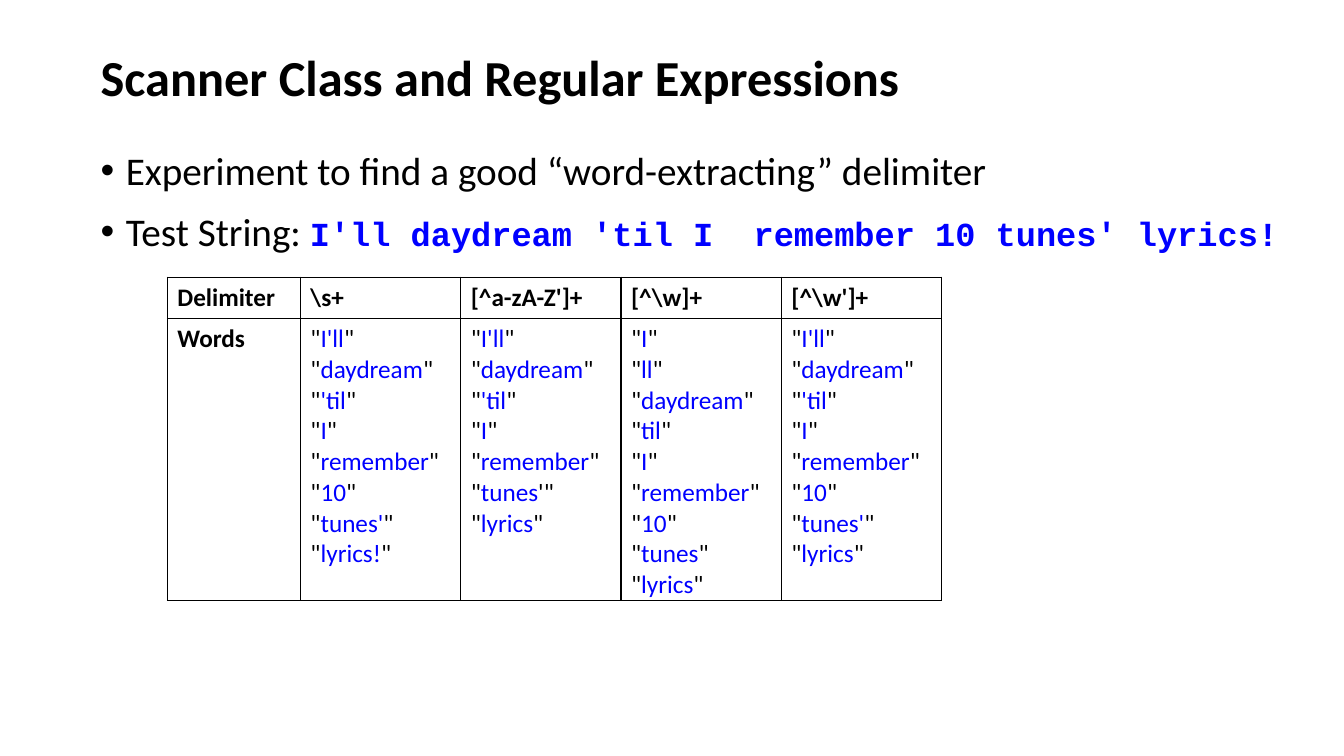
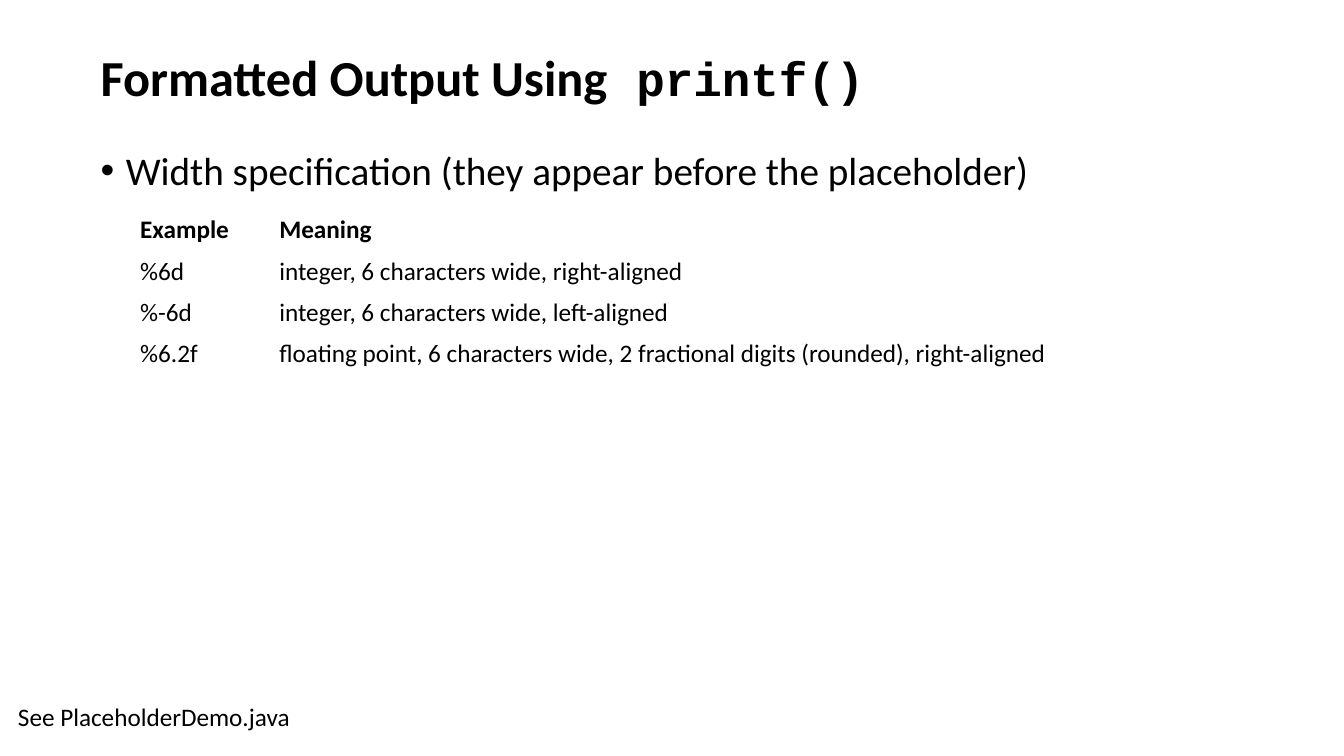
from dataclasses import dataclass
from lxml.etree import SubElement
from pptx import Presentation
from pptx.dml.color import RGBColor
from pptx.enum.text import MSO_ANCHOR, MSO_AUTO_SIZE
from pptx.oxml import parse_xml
from pptx.oxml.ns import nsdecls, qn
from pptx.util import Inches, Pt


@dataclass(frozen=True)
class Theme:
    black: RGBColor = RGBColor(0, 0, 0)
    blue: RGBColor = RGBColor(0, 0, 255)
    sans: str = "Calibri"
    mono: str = "Courier New"
    title: int = 36
    title_code: int = 34
    bullet: int = 28
    bullet_code: int = 24
    small: int = 18
    border: str = "000000"


theme = Theme()
code = dict(font=theme.mono, bold=True)


def write(para, text, size=theme.small, font=theme.sans, color=theme.black, bold=False):
    """Add one formatted span to a paragraph."""
    span = para.add_run()
    span.text = text
    span.font.size = Pt(size)
    span.font.name = font
    span.font.color.rgb = color
    span.font.bold = bold


def add_table(page, left, top, widths, heights):
    """Add a plain table without style bands or fills."""
    size = Inches(sum(widths)), Inches(sum(heights))
    table = page.shapes.add_table(len(heights), len(widths), Inches(left), Inches(top), *size).table
    table.first_row = table.horz_banding = False
    for column, width in zip(table.columns, widths):
        column.width = Inches(width)
    for row, height in zip(table.rows, heights):
        row.height = Inches(height)
    for cell in table.iter_cells():
        cell.fill.background()
    return table


# Content: each title and bullet is a list of (text, format) spans
bullet = dict(size=theme.bullet)
heading = dict(size=theme.title, bold=True)
contents = [
    ([("Scanner Class and Regular Expressions", heading)],
     [[("Experiment to find a good “word-extracting” delimiter", bullet)],
      [("Test String: ", bullet),
       ("I'll daydream 'til I  remember 10 tunes' lyrics!",
        dict(code, size=theme.bullet_code, color=theme.blue))]]),
    ([("Formatted Output Using", heading), (" printf()", dict(code, size=theme.title_code))],
     [[("Width specification (they appear before the placeholder)", bullet)]]),
]

deck = Presentation()
deck.slide_width, deck.slide_height = Inches(13.33), Inches(7.5)

# Titles and bullets
pages = []
for title, bullets in contents:
    page = deck.slides.add_slide(deck.slide_layouts[6])
    pages.append(page)

    box = page.shapes.add_textbox(Inches(0.9), Inches(0.4), Inches(11.5), Inches(0.8))
    box.text_frame.word_wrap = True
    box.text_frame.vertical_anchor = MSO_ANCHOR.MIDDLE
    para = box.text_frame.paragraphs[0]
    para.line_spacing = 0.9
    for text, style in title:
        write(para, text, **style)

    box = page.shapes.add_textbox(Inches(0.9), Inches(1.4), Inches(12.4), Inches(5.2))
    box.text_frame.word_wrap = True
    for index, spans in enumerate(bullets):
        para = box.text_frame.add_paragraph() if index else box.text_frame.paragraphs[0]
        para.space_before = Pt(10)
        properties = para._p.get_or_add_pPr()
        properties.set("marL", str(Inches(0.25)))
        properties.set("indent", str(Inches(-0.25)))
        SubElement(properties, qn("a:buFont"), typeface="Arial")
        SubElement(properties, qn("a:buChar"), char="•")
        for text, style in spans:
            write(para, text, **style)

scanner_page, printf_page = pages

# Delimiter table; a bar marks where the blue part of a word ends
words_by_delimiter = {
    r"\s+": "I'll daydream 'til I remember 10 tunes' lyrics!",
    "[^a-zA-Z']+": "I'll daydream 'til I remember tunes|' lyrics",
    r"[^\w]+": "I ll daydream til I remember 10 tunes lyrics",
    r"[^\w']+": "I'll daydream 'til I remember 10 tunes' lyrics",
}
table = add_table(scanner_page, 1.66, 2.75, [1.32] + [1.59] * 4, [0.41, 2.8])
for row, label in enumerate(["Delimiter", "Words"]):
    write(table.cell(row, 0).text_frame.paragraphs[0], label, bold=True)
for column, (delimiter, words) in enumerate(words_by_delimiter.items(), start=1):
    write(table.cell(0, column).text_frame.paragraphs[0], delimiter, bold=True)
    frame = table.cell(1, column).text_frame
    for index, entry in enumerate(words.split()):
        para = frame.add_paragraph() if index else frame.paragraphs[0]
        word, _, tail = entry.partition("|")
        write(para, '"')
        write(para, word, color=theme.blue)
        write(para, tail + '"')

# Cell borders
for cell in table.iter_cells():
    properties = cell._tc.get_or_add_tcPr()
    for position, side in enumerate("LRTB"):
        properties.insert(position, parse_xml(
            f'<a:ln{side} {nsdecls("a")} w="{Pt(1)}"><a:solidFill>'
            f'<a:srgbClr val="{theme.border}"/></a:solidFill></a:ln{side}>'))

# Width specification table
examples = [
    ("Example", "Meaning"),
    ("%6d", "integer, 6 characters wide, right-aligned"),
    ("%-6d", "integer, 6 characters wide, left-aligned"),
    ("%6.2f", "floating point, 6 characters wide, 2 fractional digits (rounded), right-aligned"),
]
table = add_table(printf_page, 1.29, 2.08, [1.38, 9.5], [0.41] * len(examples))
for row, texts in enumerate(examples):
    for column, text in enumerate(texts):
        write(table.cell(row, column).text_frame.paragraphs[0], text, bold=row == 0)

# Demo file reference
box = printf_page.shapes.add_textbox(Inches(0.08), Inches(6.91), Inches(2.99), Inches(0.4))
box.text_frame.word_wrap = False
box.text_frame.auto_size = MSO_AUTO_SIZE.SHAPE_TO_FIT_TEXT
write(box.text_frame.paragraphs[0], "See PlaceholderDemo.java")

deck.save("out.pptx")
